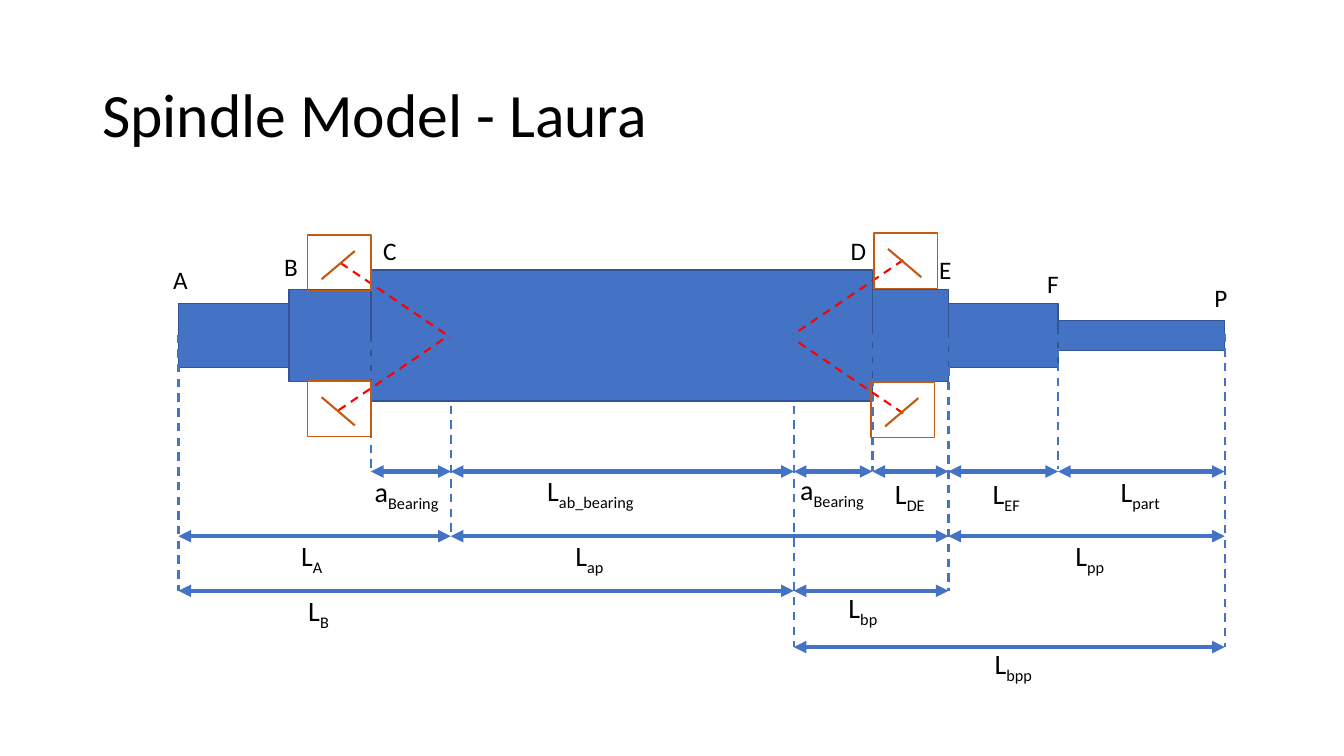
from lxml.etree import SubElement
from pptx import Presentation
from pptx.dml.color import RGBColor
from pptx.enum.dml import MSO_LINE
from pptx.enum.shapes import MSO_CONNECTOR, MSO_SHAPE
from pptx.enum.text import MSO_ANCHOR
from pptx.oxml.ns import qn
from pptx.util import Pt

BLUE = RGBColor(0x44, 0x72, 0xC4)
DARK_BLUE = RGBColor(0x32, 0x54, 0x91)
ORANGE = RGBColor(0xC5, 0x5A, 0x11)
RED = RGBColor(0xFF, 0x00, 0x00)
BLACK = RGBColor(0x00, 0x00, 0x00)

presentation = Presentation()
presentation.slide_width, presentation.slide_height = Pt(960), Pt(540)
slide = presentation.slides.add_slide(presentation.slide_layouts[6])


def add_line(start_x, start_y, end_x, end_y, color, arrows=False, **line_format):
    connector = slide.shapes.add_connector(
        MSO_CONNECTOR.STRAIGHT, Pt(start_x), Pt(start_y), Pt(end_x), Pt(end_y))
    connector.line.color.rgb = color
    for name, value in line_format.items():
        setattr(connector.line, name, value)
    if arrows:
        line_element = connector.line._get_or_add_ln()
        for end in ("a:headEnd", "a:tailEnd"):
            SubElement(line_element, qn(end), type="triangle")
    SubElement(connector._element.spPr, qn("a:effectLst"))


def add_text(left, top, width, height, size, text, subscript="", **frame_format):
    frame = slide.shapes.add_textbox(Pt(left), Pt(top), Pt(width), Pt(height)).text_frame
    for name, value in frame_format.items():
        setattr(frame, name, value)
    paragraph = frame.paragraphs[0]
    for part in filter(None, (text, subscript)):
        run = paragraph.add_run()
        run.text = part
        for name, value in {"size": Pt(size), "name": "Calibri"}.items():
            setattr(run.font, name, value)
        run.font.color.rgb = BLACK
        if part == subscript:
            run._r.get_or_add_rPr().set("baseline", "-25000")
    return paragraph


title = add_text(66, 31.7, 828, 104.4, 44, "Spindle Model - Laura",
                 word_wrap=True, vertical_anchor=MSO_ANCHOR.MIDDLE)
title.line_spacing = 0.9

axis_y = 239.7
station_x = {"A": 127.5, "B": 206.6, "C": 265, "a": 322, "b": 567,
             "D": 623.2, "E": 677.5, "F": 755.8, "P": 874.8}

shaft_sections = [("C", "D", 93.6), ("D", "E", 65.5), ("E", "F", 46),
                  ("B", "C", 65.5), ("A", "B", 46), ("F", "P", 21.6)]
for first, last, diameter in shaft_sections:
    left, right = station_x[first], station_x[last]
    section = slide.shapes.add_shape(
        MSO_SHAPE.RECTANGLE, Pt(left), Pt(axis_y - diameter / 2), Pt(right - left), Pt(diameter))
    section.shadow.inherit = False
    section.fill.solid()
    section.fill.fore_color.rgb = BLUE
    section.line.color.rgb = DARK_BLUE
    section.line.width = Pt(1)

station_labels = [("A", 116.6, 185), ("B", 195.8, 175.7), ("C", 266.5, 164.5),
                  ("D", 600.5, 164.2), ("E", 663.8, 177.8), ("F", 740.9, 187.9),
                  ("P", 860.4, 198)]
for label, left, top in station_labels:
    add_text(left, top, 24, 28.8, 18, label, word_wrap=False)

row_y = [336.8, 383, 422, 462.2]
extension_lines = [("A", 239, row_y[2]), ("D", 238.3, row_y[0]), ("E", 241.2, row_y[2]),
                   ("F", 238.3, 335), ("P", 238.3, row_y[3]), ("C", 244, 338.4),
                   ("a", 247.7, 381), ("b", 247.7, row_y[3])]
for station, top, bottom in extension_lines:
    add_line(station_x[station], top, station_x[station], bottom, BLUE,
             width=Pt(1.5), dash_style=MSO_LINE.DASH)

dimensions = [
    ("C", "a", 0, "a", "Bearing", 260.6, 335.5),
    ("a", "b", 0, "L", "ab_bearing", 383.8, 334.8),
    ("b", "D", 0, "a", "Bearing", 564.5, 334.1),
    ("D", "E", 0, "L", "DE", 632.2, 337),
    ("E", "F", 0, "L", "EF", 702, 337),
    ("F", "P", 0, "L", "part", 793.4, 335.5),
    ("A", "a", 1, "L", "A", 208.1, 380.9),
    ("a", "E", 1, "L", "ap", 403.9, 380.9),
    ("E", "P", 1, "L", "pp", 761, 380.9),
    ("A", "b", 2, "L", "B", 213.1, 420.5),
    ("b", "E", 2, "L", "bp", 599, 418.3),
    ("b", "P", 3, "L", "bpp", 703.4, 458.6),
]
for first, last, row, symbol, subscript, left, top in dimensions:
    add_line(station_x[first], row_y[row], station_x[last], row_y[row], BLUE,
             arrows=True, width=Pt(3))
    add_text(left, top, 102, 31.7, 20, symbol, subscript, word_wrap=True)

box_width, box_height = 45.4, 39.6
bearings = [(219.6, 167.8, 243.4, 187.9, 1, 1), (624.2, 166.3, 645.1, 185.8, -1, 1),
            (219.6, 272.2, 241.9, 293, 1, -1), (622.1, 272.9, 645.1, 295.2, -1, -1)]
for left, top, contact_x, contact_y, inward_x, inward_y in bearings:
    add_line(contact_x, contact_y, contact_x + inward_x * 78.5, contact_y + inward_y * 53.2,
             RED, width=Pt(1.5), dash_style=MSO_LINE.DASH)
    box = slide.shapes.add_shape(
        MSO_SHAPE.RECTANGLE, Pt(left), Pt(top), Pt(box_width), Pt(box_height))
    box.shadow.inherit = False
    box.fill.background()
    box.line.color.rgb = ORANGE
    box.line.width = Pt(1)
    middle_x, middle_y = left + 22, top + 21.6
    rise = 10.1 * inward_x * inward_y
    add_line(middle_x + 11.9, middle_y - rise, middle_x - 11.9, middle_y + rise,
             ORANGE, width=Pt(1.5))

presentation.save("out.pptx")
